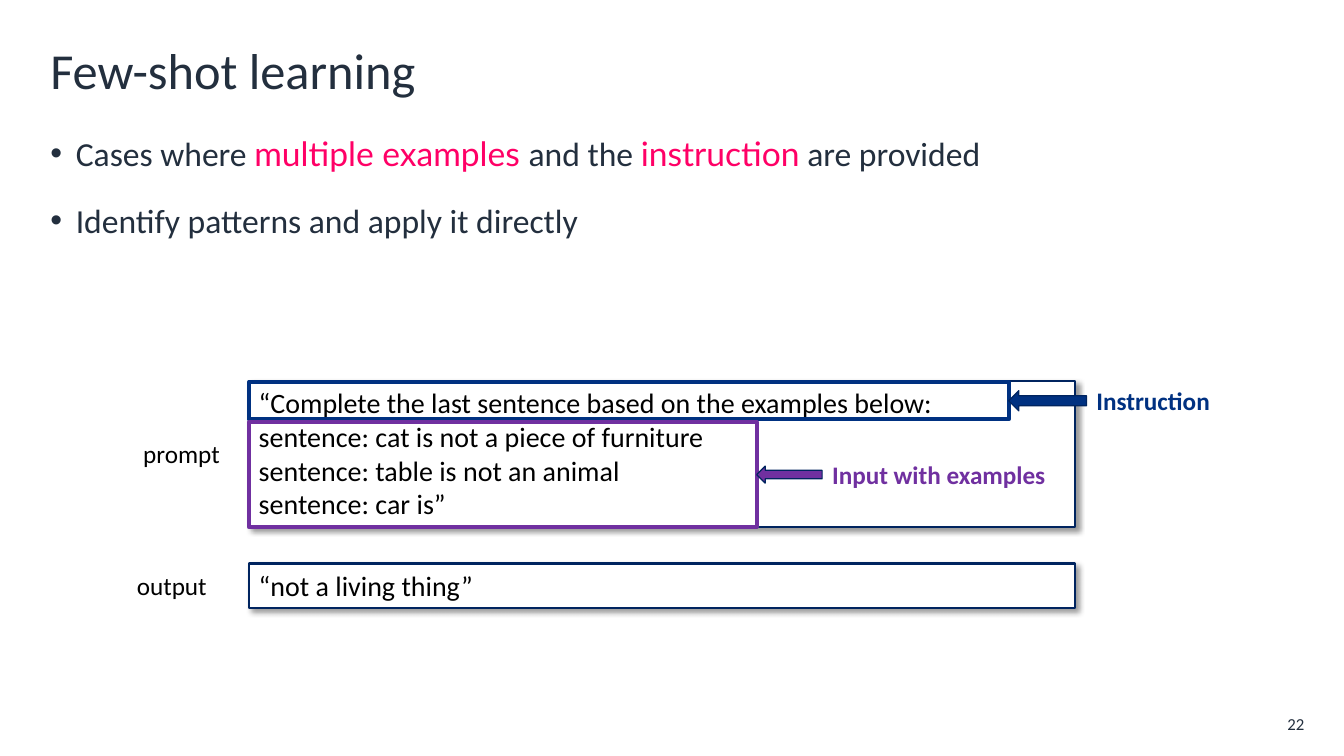
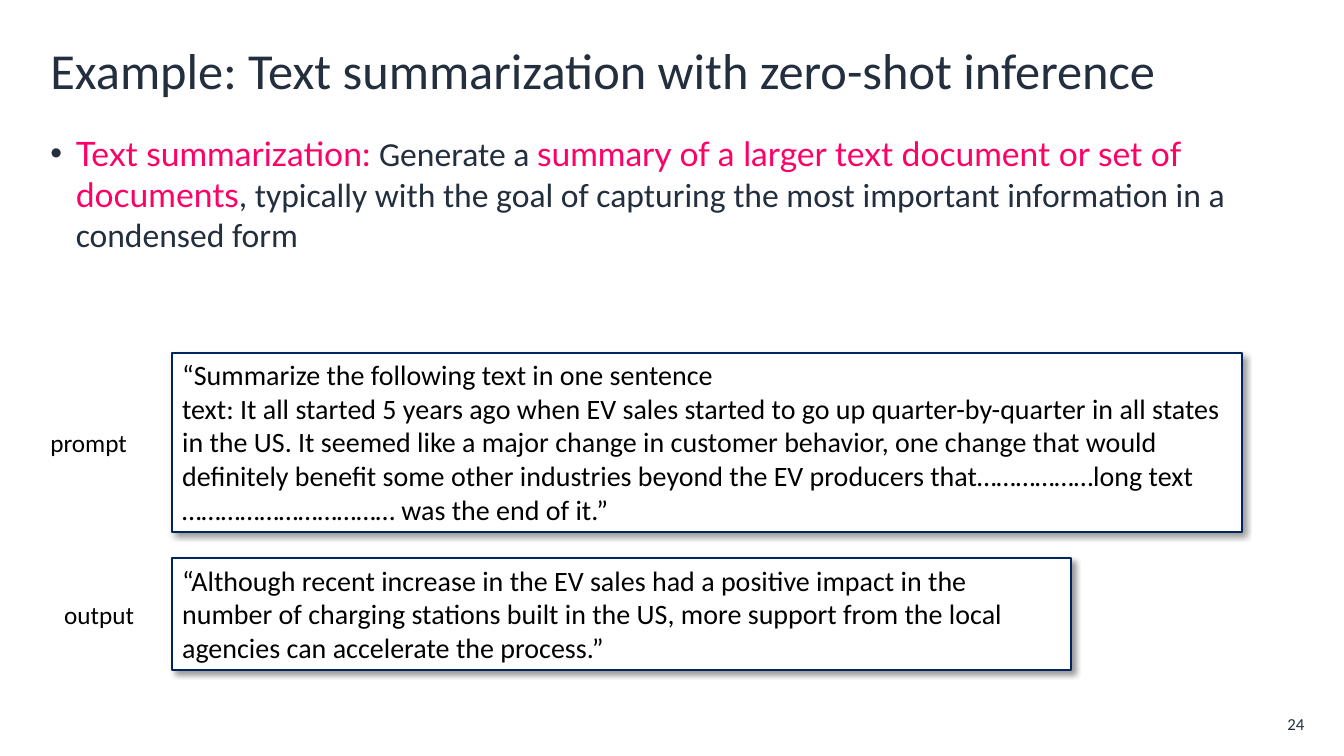
from dataclasses import dataclass

from lxml import etree
from pptx import Presentation
from pptx.dml.color import RGBColor
from pptx.enum.shapes import MSO_SHAPE
from pptx.enum.text import MSO_ANCHOR, PP_ALIGN
from pptx.oxml.ns import qn
from pptx.util import Cm, Pt

LEFT, RIGHT = PP_ALIGN.LEFT, PP_ALIGN.RIGHT
TOP, MIDDLE = MSO_ANCHOR.TOP, MSO_ANCHOR.MIDDLE
RECTANGLE, LEFT_ARROW = MSO_SHAPE.RECTANGLE, MSO_SHAPE.LEFT_ARROW


@dataclass(frozen=True)
class Theme:
    font: str = "Calibri"
    highlight_font: str = "Lato"
    ink: str = "232F3E"
    highlight: str = "FF0066"
    black: str = "000000"
    white: str = "FFFFFF"
    border: str = "00245F"
    blue: str = "003181"
    purple: str = "7030A0"
    title_size: int = 36
    bullet_size: int = 24
    example_size: int = 20
    label_size: int = 18
    number_size: int = 12


THEME = Theme()
MARGIN, CONTENT_WIDTH, LABEL_HEIGHT = 1.02, 31.85, 1.02

# Bullets are lists of (text, highlighted); all lengths are in centimetres.
SLIDES = [
    {
        "number": "22",
        "title": "Few-shot learning",
        "bullets": [
            [("Cases where ", False), ("multiple examples ", True), ("and the ", False),
             ("instruction", True), (" are provided", False)],
            [("Identify patterns and apply it directly", False)],
        ],
        "box_left": 6.27,
        "label_gap": 0.48,
        "examples": [
            {"label": "prompt", "label_left": 2.74, "align": RIGHT,
             "top": 9.6, "width": 20.83, "height": 3.68,
             "lines": ["“Complete the last sentence based on the examples below:",
                       "sentence: cat is not a piece of furniture",
                       "sentence: table is not an animal",
                       "sentence: car is”"]},
            {"label": "output", "label_left": 3.2, "align": LEFT,
             "top": 14.2, "width": 20.83, "height": 1.12,
             "lines": ["“not a living thing”"]},
        ],
        "callouts": [
            {"text": "Instruction", "color": THEME.blue, "top": 9.63, "width": 19.15,
             "height": 0.94, "arrow": (1.96, 0.51), "text_width": 4.32},
            {"text": "Input with examples", "color": THEME.purple, "top": 10.64,
             "width": 12.8, "height": 2.64, "arrow": (1.65, 0.43), "text_width": 8},
        ],
    },
    {
        "number": "24",
        "title": "Example: Text summarization with zero-shot inference",
        "bullets": [
            [("Text summarization: ", True), ("Generate a ", False),
             ("summary of a larger text document or set of documents", True),
             (", typically with the goal of capturing the most important information "
              "in a condensed form", False)],
        ],
        "box_left": 4.34,
        "label_gap": 0.36,
        "examples": [
            {"label": "prompt", "label_left": 1.02, "align": LEFT,
             "top": 8.89, "width": 26.97, "height": 4.52,
             "lines": ["“Summarize the following text in one sentence",
                       "text: It all started 5 years ago when EV sales started to go up "
                       "quarter-by-quarter in all states in the US. It seemed like a major "
                       "change in customer behavior, one change that would definitely "
                       "benefit some other industries beyond the EV producers "
                       "that………………long text …………………………… was the end of it.”"]},
            {"label": "output", "label_left": 1.37, "align": LEFT,
             "top": 14.07, "width": 22.66, "height": 2.82,
             "lines": ["“Although recent increase in the EV sales had a positive impact "
                       "in the number of charging stations built in the US, more support "
                       "from the local agencies can accelerate the process.”"]},
        ],
        "callouts": [],
    },
]


def set_font(font, size, color, name=THEME.font, bold=False):
    font.name, font.size, font.bold = name, Pt(size), bold
    font.color.rgb = RGBColor.from_string(color)


def write_lines(frame, lines, size, color, align=LEFT, anchor=TOP, bold=False):
    frame.word_wrap = True
    frame.vertical_anchor = anchor
    for index, line in enumerate(lines):
        paragraph = frame.paragraphs[0] if index == 0 else frame.add_paragraph()
        paragraph.text = line
        paragraph.alignment = align
        set_font(paragraph.font, size, color, bold=bold)


def add_text(slide, box, text, size, color, **style):
    frame = slide.shapes.add_textbox(*map(Cm, box)).text_frame
    write_lines(frame, [text], size, color, **style)
    return frame


def add_outlined(slide, preset, box, line, weight, fill=None):
    shape = slide.shapes.add_shape(preset, *map(Cm, box))
    shape.shadow.inherit = False
    if fill:
        shape.fill.solid()
        shape.fill.fore_color.rgb = RGBColor.from_string(fill)
    else:
        shape.fill.background()
    shape.line.color.rgb = RGBColor.from_string(line)
    shape.line.width = Pt(weight)
    return shape


def add_drop_shadow(shape):
    effects = shape._element.spPr.find(qn("a:effectLst"))
    shadow = etree.SubElement(effects, qn("a:outerShdw"), blurRad=str(Pt(4)),
                              dist=str(Pt(3)), dir=str(45 * 60000),
                              algn="tl", rotWithShape="0")
    color = etree.SubElement(shadow, qn("a:srgbClr"), val=THEME.black)
    etree.SubElement(color, qn("a:alpha"), val="40000")


def add_bullets(slide, bullets):
    frame = slide.shapes.add_textbox(
        *map(Cm, (MARGIN, 3.23, CONTENT_WIDTH, 3.8))).text_frame
    frame.word_wrap = True
    for index, runs in enumerate(bullets):
        paragraph = frame.paragraphs[0] if index == 0 else frame.add_paragraph()
        paragraph.space_before, paragraph.space_after = Pt(13), Pt(6)
        properties = paragraph._p.get_or_add_pPr()
        properties.set("marL", str(Cm(0.64)))
        properties.set("indent", str(-Cm(0.64)))
        bullet_color = etree.SubElement(properties, qn("a:buClr"))
        etree.SubElement(bullet_color, qn("a:srgbClr"), val=THEME.ink)
        etree.SubElement(properties, qn("a:buFont"), typeface="Arial")
        etree.SubElement(properties, qn("a:buChar"), char="•")
        for text, highlighted in runs:
            run = paragraph.add_run()
            run.text = text
            if highlighted:
                set_font(run.font, THEME.bullet_size, THEME.highlight, THEME.highlight_font)
            else:
                set_font(run.font, THEME.bullet_size, THEME.ink)


def add_example(slide, example, box_left, label_gap):
    """Draw a shadowed text box with its label centred beside it."""
    top, height = example["top"], example["height"]
    label_left = example["label_left"]
    label_box = (label_left, top + (height - LABEL_HEIGHT) / 2,
                 box_left - label_gap - label_left, LABEL_HEIGHT)
    add_text(slide, label_box, example["label"], THEME.label_size, THEME.black,
             align=example["align"])
    panel = add_outlined(slide, RECTANGLE, (box_left, top, example["width"], height),
                         THEME.border, 1.5, THEME.white)
    add_drop_shadow(panel)
    write_lines(panel.text_frame, example["lines"], THEME.example_size, THEME.black)


def add_callout(slide, callout, left):
    """Frame part of the prompt and point to it with a labelled arrow."""
    top, width, height = callout["top"], callout["width"], callout["height"]
    color = callout["color"]
    arrow_width, arrow_height = callout["arrow"]
    middle, arrow_left = top + height / 2, left + width
    add_outlined(slide, RECTANGLE, (left, top, width, height), color, 3)
    add_outlined(slide, LEFT_ARROW,
                 (arrow_left, middle - arrow_height / 2, arrow_width, arrow_height),
                 THEME.border, 0.85, color)
    text_box = (arrow_left + arrow_width, middle - LABEL_HEIGHT / 2,
                callout["text_width"], LABEL_HEIGHT)
    add_text(slide, text_box, callout["text"], THEME.label_size, color, bold=True)


def add_title_and_number(slide, title, number):
    heading = add_text(slide, (MARGIN, 0.84, CONTENT_WIDTH, 2.03), title,
                       THEME.title_size, THEME.ink, anchor=MIDDLE)
    heading.paragraphs[0].line_spacing = 0.9
    footer = add_text(slide, (31.52, 17.91, 1.35, 0.64), number,
                      THEME.number_size, THEME.ink, align=RIGHT, anchor=MIDDLE)
    footer.margin_left = footer.margin_right = footer.margin_top = footer.margin_bottom = 0


def main():
    deck = Presentation()
    deck.slide_width, deck.slide_height = Cm(33.87), Cm(19.05)
    blank = deck.slide_layouts[6]
    for content in SLIDES:
        slide = deck.slides.add_slide(blank)
        add_title_and_number(slide, content["title"], content["number"])
        add_bullets(slide, content["bullets"])
        for example in content["examples"]:
            add_example(slide, example, content["box_left"], content["label_gap"])
        for callout in content["callouts"]:
            add_callout(slide, callout, content["box_left"])
    deck.save("out.pptx")


if __name__ == "__main__":
    main()
